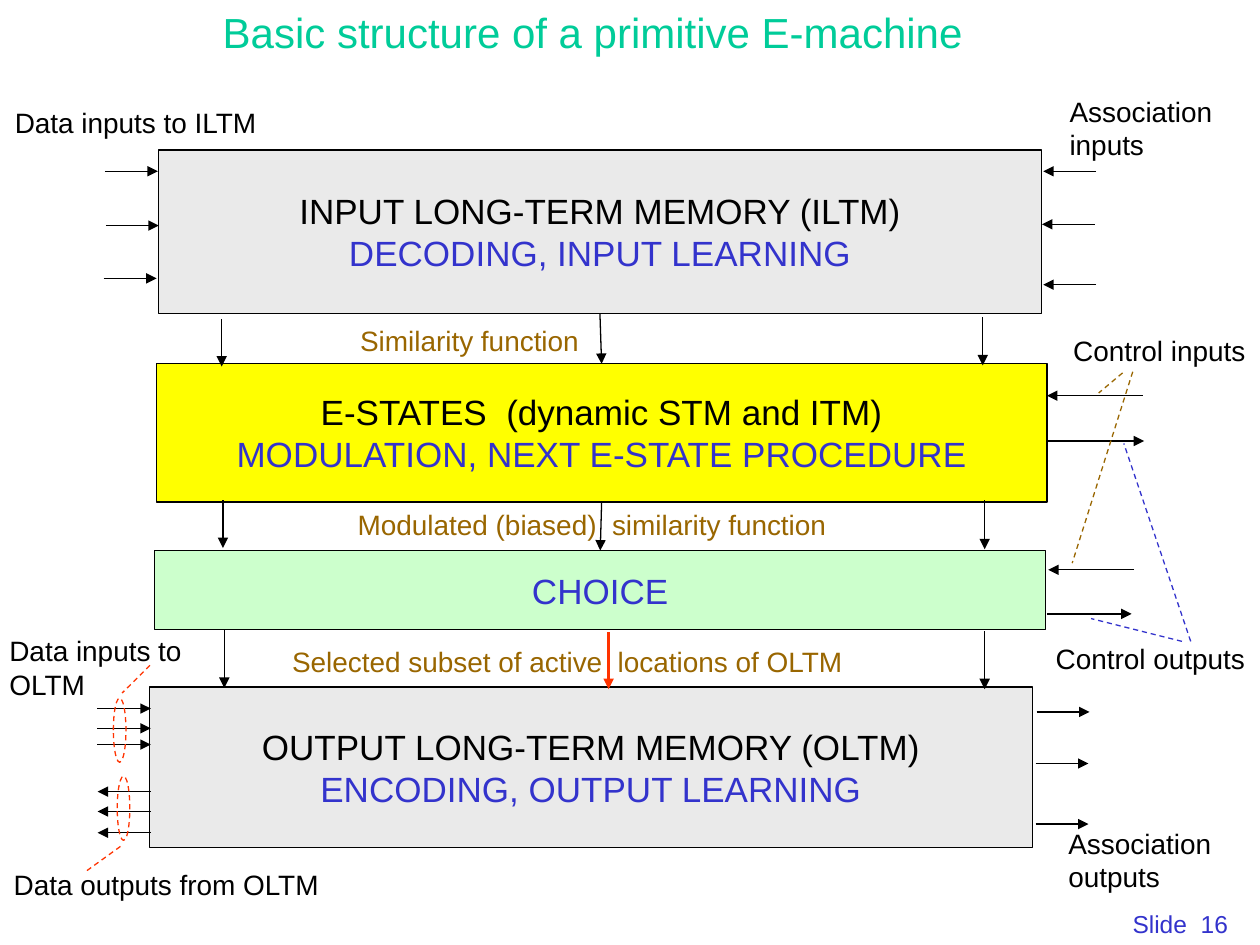
from pptx import Presentation
from pptx.dml.color import RGBColor
from pptx.enum.dml import MSO_LINE
from pptx.enum.shapes import MSO_CONNECTOR, MSO_SHAPE
from pptx.enum.text import MSO_ANCHOR, MSO_AUTO_SIZE, PP_ALIGN
from pptx.oxml.ns import qn
from pptx.util import Pt
from lxml.etree import SubElement

BLACK, BLUE, BROWN, RED, TEAL = "000000", "3333CC", "996600", "FF3300", "00CC99"
GREY, YELLOW, GREEN = "EAEAEA", "FFFF00", "CCFFCC"
TOP, BOTTOM = 0, 2


def color(hex_value):
    return RGBColor.from_string(hex_value)


def apply_format(target, values):
    for name, value in values.items():
        setattr(target, name, value)


def write(paragraph, words, size, ink):
    run = paragraph.add_run()
    run.text = words
    apply_format(run.font, {"name": "Arial", "size": Pt(size)})
    run.font.color.rgb = color(ink)


def style_line(line, ink, width=0.75, dashed=False):
    line.color.rgb = color(ink)
    line.width = Pt(width)
    if dashed:
        line.dash_style = MSO_LINE.DASH


def add_label(slide, words, left, top, width, height, size=16, ink=BLACK):
    label = slide.shapes.add_textbox(Pt(left), Pt(top), Pt(width), Pt(height))
    apply_format(label.text_frame, {"word_wrap": True,
                                    "auto_size": MSO_AUTO_SIZE.SHAPE_TO_FIT_TEXT})
    write(label.text_frame.paragraphs[0], words, size, ink)


def add_stage(slide, lines, left, top, width, height, fill):
    stage = slide.shapes.add_shape(MSO_SHAPE.RECTANGLE, Pt(left), Pt(top),
                                   Pt(width), Pt(height))
    stage.shadow.inherit = False
    stage.fill.solid()
    stage.fill.fore_color.rgb = color(fill)
    style_line(stage.line, BLACK)
    frame = stage.text_frame
    apply_format(frame, {"word_wrap": False, "vertical_anchor": MSO_ANCHOR.MIDDLE})
    for index, (words, ink) in enumerate(lines):
        paragraph = frame.add_paragraph() if index else frame.paragraphs[0]
        paragraph.alignment = PP_ALIGN.CENTER
        write(paragraph, words, 20, ink)
    return stage


def add_line(slide, x1, y1, x2, y2, ink=BLACK, width=0.75, dashed=False):
    line = slide.shapes.add_connector(MSO_CONNECTOR.STRAIGHT,
                                      Pt(x1), Pt(y1), Pt(x2), Pt(y2))
    style_line(line.line, ink, width, dashed)
    SubElement(line._element.spPr, qn("a:effectLst"))
    return line


def add_arrow(slide, x1, y1, x2, y2, ink=BLACK, width=0.75):
    arrow = add_line(slide, x1, y1, x2, y2, ink, width)
    SubElement(arrow.line._get_or_add_ln(), qn("a:tailEnd"), type="triangle")
    return arrow


def join_stages(slide, upper, lower):
    arrow = add_arrow(slide, 0, 0, 0, 0)
    arrow.begin_connect(upper, BOTTOM)
    arrow.end_connect(lower, TOP)


def add_ring(slide, left, top):
    ring = slide.shapes.add_shape(MSO_SHAPE.OVAL, Pt(left), Pt(top), Pt(7.2), Pt(36.7))
    ring.shadow.inherit = False
    ring.fill.background()
    style_line(ring.line, RED, dashed=True)


def add_flows(slide):
    for x, y in ((60, 97.9), (60.5, 128.9), (59.3, 159.1)):
        add_arrow(slide, x, y, x + 30.2, y)
    for x, y in ((626.4, 97.9), (625.7, 128.2), (626.4, 162.7)):
        add_arrow(slide, x, y, x - 30.2, y)
    for x, y in ((592.4, 406.8), (591.8, 436.3), (591.8, 470.9)):
        add_arrow(slide, x, y, x + 30.2, y)
    for y in (404.9, 416.2, 425.5):
        add_arrow(slide, 55.6, y, 86.2, y)
    for y in (452.4, 463.7, 475.9):
        add_arrow(slide, 86.2, y, 55.8, y)
    for start, end, y in ((653, 598.3, 226.1), (599, 653.8, 252),
                          (648, 599, 325.6), (598.3, 646.6, 350.8)):
        add_arrow(slide, start, y, end, y)
    for x, top, bottom in ((126.7, 182.2, 209.5), (561.6, 181.4, 208.8),
                           (127.4, 285.8, 313.2), (562.7, 285.8, 313.9),
                           (128.2, 360, 393.1), (562.7, 360.7, 393.8)):
        add_arrow(slide, x, top, x, bottom)
    add_arrow(slide, 347.8, 361.4, 347.8, 393.8, RED, 1.5)


def add_pointers(slide):
    for ends, ink in (((641.5, 213.1, 627.8, 224.6), BROWN),
                      ((647.3, 212.4, 612.7, 321.8), BROWN),
                      ((675.4, 366.5, 623.5, 353.5), BLUE),
                      ((680.4, 366.5, 642.2, 253.4), BLUE),
                      ((85.7, 380.2, 69.8, 396), RED),
                      ((49.7, 497.5, 70.6, 482.4), RED)):
        add_line(slide, *ends, ink, dashed=True)
    add_ring(slide, 64.8, 398.9)
    add_ring(slide, 67, 443.5)


def add_labels(slide):
    add_label(slide, "Basic structure of a primitive E-machine", 120.2, 0, 474.5, 36, 24, TEAL)
    add_label(slide, "Slide  16", 640.1, 516.2, 76.3, 24.5, 14, BLUE)
    for words, left, top, width, height in (
            ("Data inputs to ILTM", 1.4, 56.9, 189.4, 26.6),
            ("Association inputs", 604.1, 50.4, 103.7, 46.1),
            ("Control inputs", 606.2, 187.2, 115.9, 26.6),
            ("Control outputs", 596.2, 362.9, 129.6, 26.6),
            ("Data inputs to OLTM", -1.7, 358.6, 125.3, 46.1),
            ("Association outputs", 603.4, 468.7, 97.2, 46.1),
            ("Data outputs from OLTM", 0.7, 492.5, 207.4, 26.6)):
        add_label(slide, words, left, top, width, height)
    for words, left, top, width in (
            ("Similarity function", 198.7, 181.4, 144.7),
            ("Modulated (biased)  similarity function", 197.3, 286.6, 293),
            ("Selected subset of active  locations of OLTM", 159.8, 365, 395.3)):
        add_label(slide, words, left, top, width, 26.6, ink=BROWN)


def main():
    deck = Presentation()
    deck.slide_width, deck.slide_height = Pt(720), Pt(540)
    slide = deck.slides.add_slide(deck.slide_layouts[6])
    input_memory = add_stage(slide, (("INPUT LONG-TERM MEMORY (ILTM)", BLACK),
                                     ("DECODING, INPUT LEARNING", BLUE)),
                             90.5, 85.7, 504.7, 93.6, GREY)
    e_states = add_stage(slide, (("E-STATES  (dynamic STM and ITM)", BLACK),
                                 ("MODULATION, NEXT E-STATE PROCEDURE", BLUE)),
                         89.3, 207.9, 509, 79, YELLOW)
    choice = add_stage(slide, (("CHOICE", BLUE),), 88.5, 314.6, 509, 45.2, GREEN)
    add_stage(slide, (("OUTPUT LONG-TERM MEMORY (OLTM)", BLACK),
                      ("ENCODING, OUTPUT LEARNING", BLUE)),
              85.3, 392.5, 504.7, 91.8, GREY)
    join_stages(slide, input_memory, e_states)
    join_stages(slide, e_states, choice)
    add_flows(slide)
    add_pointers(slide)
    add_labels(slide)
    deck.save("out.pptx")


if __name__ == "__main__":
    main()
